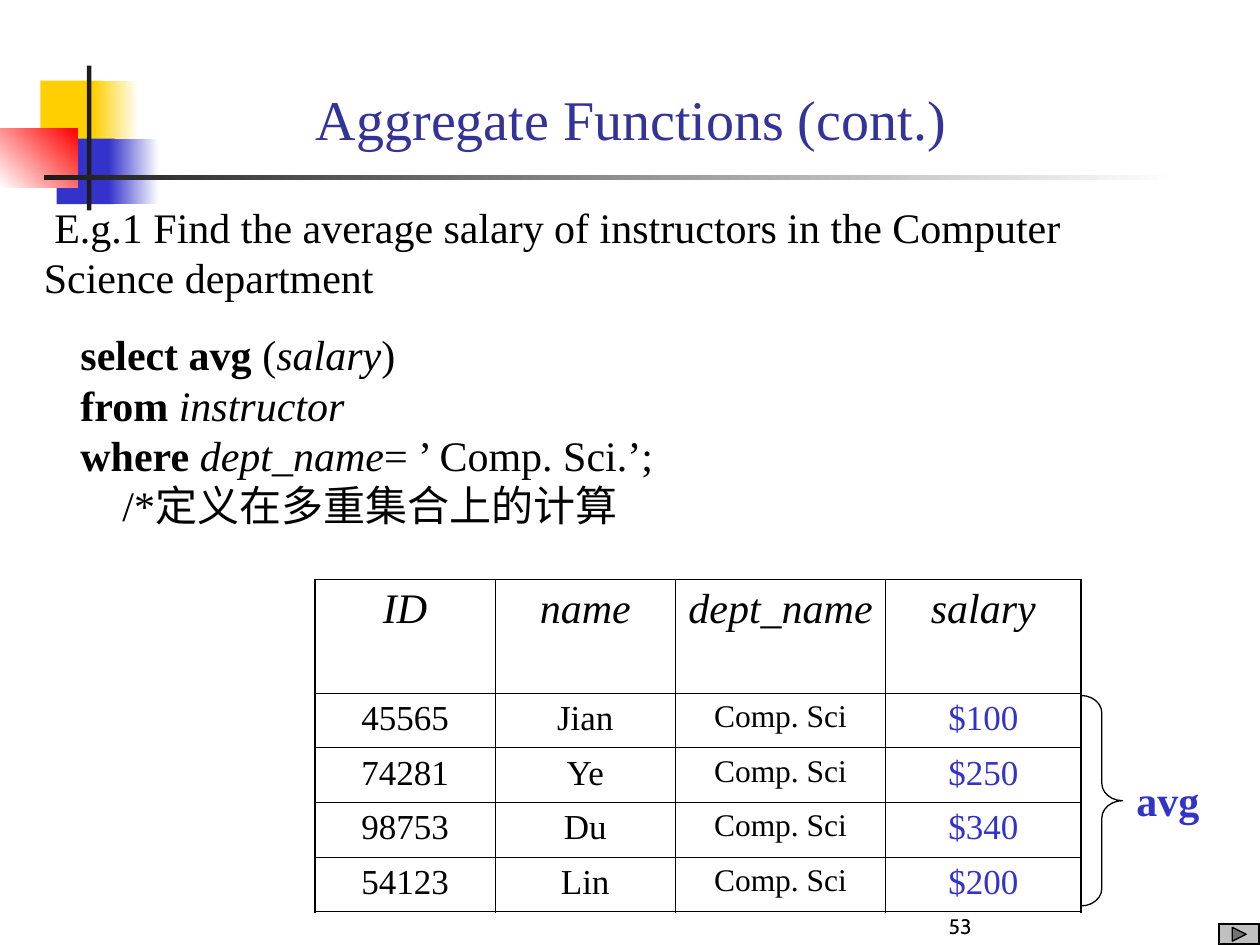
from collections import namedtuple

from lxml.etree import SubElement
from pptx import Presentation
from pptx.dml.color import RGBColor
from pptx.enum.shapes import MSO_SHAPE
from pptx.enum.text import MSO_ANCHOR, PP_ALIGN
from pptx.oxml.ns import qn
from pptx.util import Inches, Pt

COLUMNS, ROWS = 100, 75
SLIDE_WIDTH, SLIDE_HEIGHT = Inches(10), Inches(7.5)
SERIF = "Times New Roman"
BLACK, BLUE, YELLOW, CHARCOAL, WHITE = "000000", "3333CC", "FFCF01", "1C1C1C", "FFFFFF"


class Box(namedtuple("Box", "left top width height")):
    def inside(self, left, top, width, height):
        return Box(self.left + left, self.top + top, width, height)

    def lengths(self):
        return (across(self.left), down(self.top), across(self.width), down(self.height))


def across(columns):
    return int(SLIDE_WIDTH * columns / COLUMNS)


def down(rows):
    return int(SLIDE_HEIGHT * rows / ROWS)


def color(value):
    return RGBColor.from_string(value)


def apply(target, values):
    for name, value in values.items():
        setattr(target, name, value)


def add_run(paragraph, text, size, ink=BLACK, **style):
    run = paragraph.add_run()
    run.text = text
    apply(run.font, {"name": SERIF, "size": Pt(size), **style})
    run.font.color.rgb = color(ink)


def add_text_frame(slide, box, **settings):
    frame = slide.shapes.add_textbox(*box.lengths()).text_frame
    apply(frame, {"word_wrap": True, **settings})
    return frame


def add_outline(slide, preset, box, fill=None, line=None):
    shape = slide.shapes.add_shape(preset, *box.lengths())
    shape.shadow.inherit = False
    if fill:
        shape.fill.solid()
        shape.fill.fore_color.rgb = color(fill)
    else:
        shape.fill.background()
    if line:
        shape.line.color.rgb = color(line)
        shape.line.width = Pt(0.75)
    else:
        shape.line.fill.background()
    return shape


def add_ornament(slide, box):
    parts = [
        ((3.2, 1.2, 4.8, 5.2), [YELLOW], 0),
        ((7.4, 1.2, 3.6, 5.2), [YELLOW, WHITE], 0),
        ((4.5, 5.8, 4.6, 5.2), [BLUE], 0),
        ((8.6, 5.8, 4, 5.2), [BLUE, WHITE], 0),
        ((0, 5, 6.15, 4.65), [WHITE, "FF0000"], 45),
        ((6.9, 0, 0.35, 11.5), [CHARCOAL], 0),
        ((3.5, 8.7, 90, 0.35), [CHARCOAL, WHITE], 0),
    ]
    for place, shades, angle in parts:
        patch = add_outline(slide, MSO_SHAPE.RECTANGLE, box.inside(*place), shades[0])
        if len(shades) > 1:
            patch.fill.gradient()
            patch.fill.gradient_angle = angle
            for stop, shade in zip(patch.fill.gradient_stops, shades):
                stop.color.rgb = color(shade)


def add_title(slide, box):
    frame = add_text_frame(slide, box, vertical_anchor=MSO_ANCHOR.BOTTOM)
    title = frame.paragraphs[0]
    title.alignment = PP_ALIGN.CENTER
    add_run(title, "Aggregate Functions (cont.)", 32, "333399")


def add_question(slide, box):
    question = add_text_frame(slide, box).paragraphs[0]
    question._p.get_or_add_pPr().set("indent", str(across(0.83)))
    add_run(question, "E.g.1 Find the average salary of instructors in the Computer Science department", 24)


def add_query(slide, box):
    frame = add_text_frame(slide, box, word_wrap=False)
    clauses = [
        [("select avg ", "bold"), ("(", ""), ("salary", "italic"), (")", "")],
        [("from ", "bold"), ("instructor", "italic")],
        [("where ", "bold"), ("dept_name", "italic"), ("= ’ Comp. Sci.’;", "")],
    ]
    statement, remark = frame.paragraphs[0], frame.add_paragraph()
    for paragraph, margin in ((statement, 5), (remark, 8.33)):
        paragraph._p.get_or_add_pPr().set("marL", str(across(margin)))
    for number, clause in enumerate(clauses):
        if number:
            statement.add_line_break()
        for text, emphasis in clause:
            add_run(statement, text, 24, **({emphasis: True} if emphasis else {}))
    add_run(remark, "/*定义在多重集合上的计算", 24)


def set_borders(cell, widths):
    properties = cell._tc.get_or_add_tcPr()
    for position, (side, width) in enumerate(widths.items()):
        border = SubElement(properties, qn(f"a:{side}"), w=str(Pt(width)))
        ink = SubElement(SubElement(border, qn("a:solidFill")), qn("a:srgbClr"))
        ink.set("val", BLACK)
        properties.remove(border)
        properties.insert(position, border)


def add_salaries(slide, box):
    header = ["ID", "name", "dept_name", "salary"]
    instructors = [
        ("45565", "Jian", "$100"),
        ("74281", "Ye", "$250"),
        ("98753", "Du", "$340"),
        ("54123", "Lin", "$200"),
    ]
    records = [header] + [(key, name, "Comp. Sci", pay) for key, name, pay in instructors]
    column_formats = [(20, BLACK), (20, BLACK), (18, BLACK), (20, BLUE)]
    last_row, last_column = len(records) - 1, len(header) - 1
    table = slide.shapes.add_table(len(records), len(header), *box.lengths()).table
    apply(table, {"first_row": False, "horz_banding": False})
    for column, width in zip(table.columns, (14.3, 14.3, 16.7, 15.5)):
        column.width = across(width)
    for number, row in enumerate(table.rows):
        row.height = down(4.33 if number else 9)
    for row, record in enumerate(records):
        for column, value in enumerate(record):
            cell = table.cell(row, column)
            cell.fill.background()
            size, ink = column_formats[column] if row else (24, BLACK)
            paragraph = cell.text_frame.paragraphs[0]
            apply(paragraph, {"alignment": PP_ALIGN.CENTER, "space_before": Pt(size / 4)})
            add_run(paragraph, value, size, ink, italic=row == 0)
            edges = {"lnL": column == 0, "lnR": column == last_column,
                     "lnT": row == 0, "lnB": row == last_row}
            set_borders(cell, {side: 1.08 if outer else 0.45 for side, outer in edges.items()})


def add_average(slide, box):
    brace = add_outline(slide, MSO_SHAPE.RIGHT_BRACE, box.inside(0, 0, 3.3, box.height), line=BLACK)
    brace.adjustments[0] = 0.42
    frame = add_text_frame(slide, box.inside(3.4, 5.8, 7, 5), word_wrap=False)
    add_run(frame.paragraphs[0], "avg", 24, BLUE, bold=True)


def add_page_number(slide, box):
    frame = add_text_frame(slide, box, vertical_anchor=MSO_ANCHOR.BOTTOM)
    number = frame.paragraphs[0]
    number.alignment = PP_ALIGN.CENTER
    add_run(number, "53", 12, name="Cabin")


def add_next_button(slide, box):
    button = add_outline(slide, MSO_SHAPE.BEVEL, box, "C0C0C0", BLACK)
    button.adjustments[0] = 0.06
    arrow_box = box.inside(1.1, 0.3, 1.1, 1.1)
    arrow = add_outline(slide, MSO_SHAPE.ISOSCELES_TRIANGLE, arrow_box, "737373", BLACK)
    arrow.rotation = 90


def main():
    deck = Presentation()
    apply(deck, {"slide_width": SLIDE_WIDTH, "slide_height": SLIDE_HEIGHT})
    slide = deck.slides.add_slide(deck.slide_layouts[6])
    regions = [
        (add_ornament, Box(0, 5.2, 93.5, 11.5)),
        (add_question, Box(2.5, 15.5, 92.5, 9)),
        (add_title, Box(7.5, 0, 85.2, 12.5)),
        (add_salaries, Box(25, 46, 60.8, 26.3)),
        (add_average, Box(85.8, 55.2, 10.4, 16.7)),
        (add_next_button, Box(96.7, 73.3, 3.3, 1.7)),
        (add_page_number, Box(65.8, 70, 20.8, 5)),
        (add_query, Box(0.4, 25.6, 52.7, 17)),
    ]
    for add_region, box in regions:
        add_region(slide, box)
    deck.save("out.pptx")


if __name__ == "__main__":
    main()
